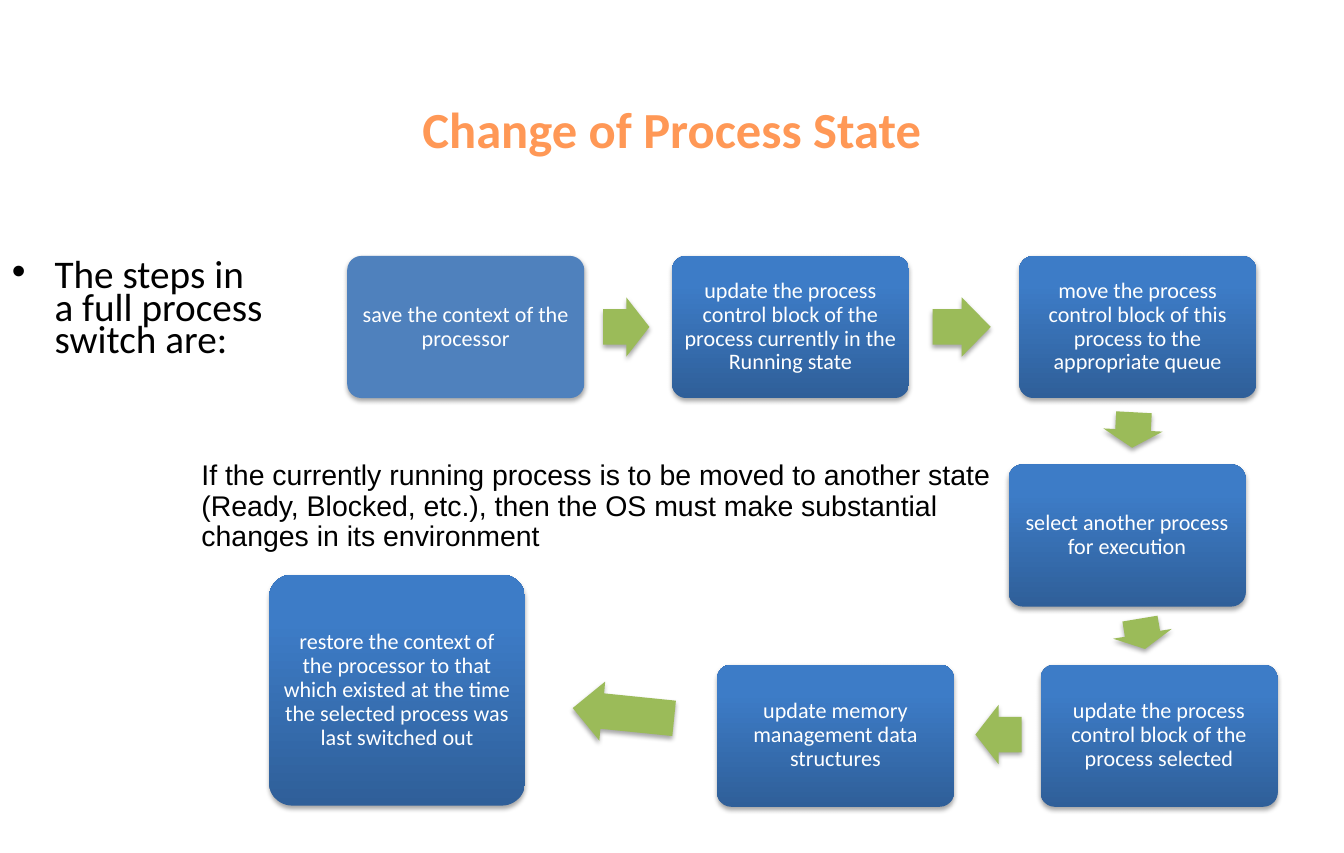
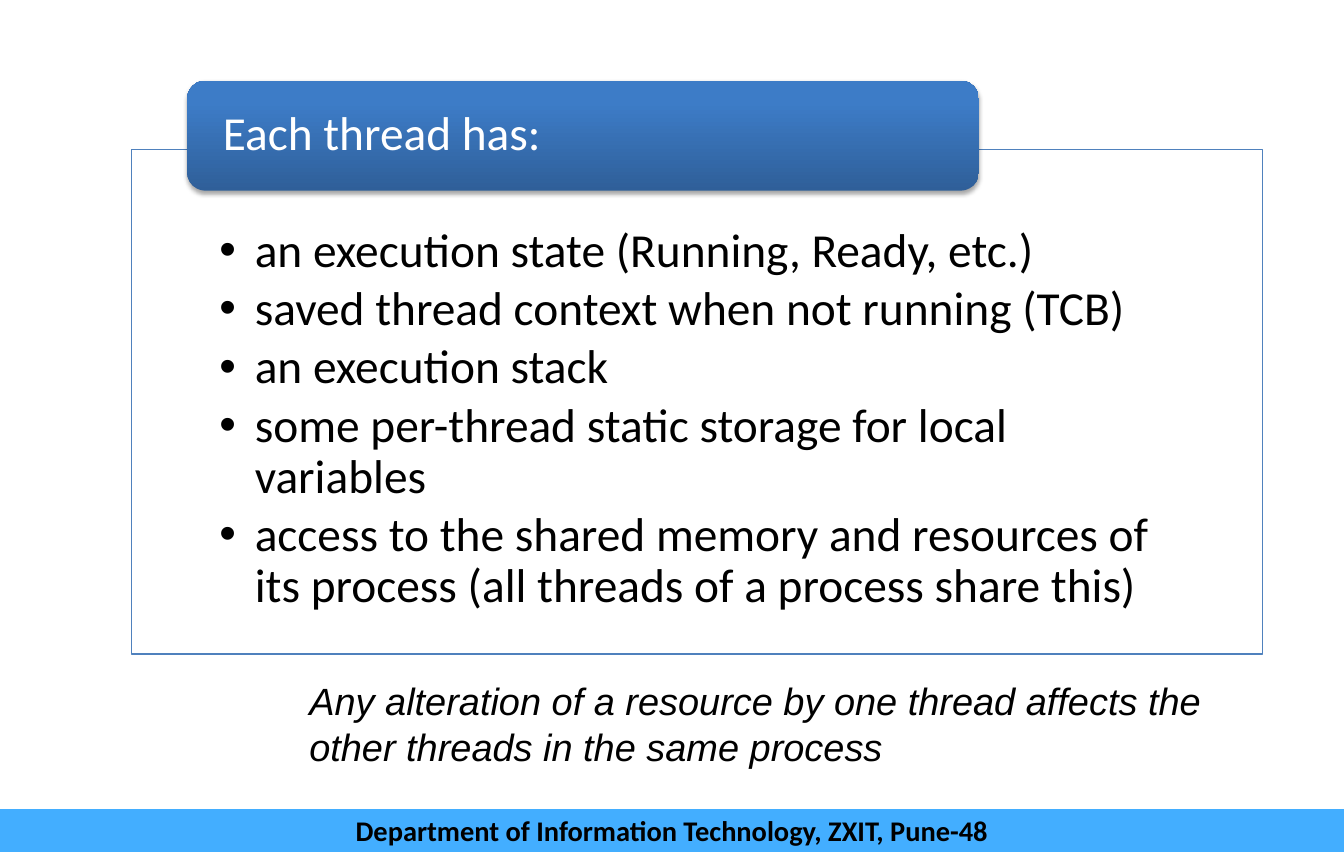
import collections

import lxml.etree
import pptx
import pptx.dml.color
import pptx.enum.shapes
import pptx.enum.text
import pptx.oxml.ns
import pptx.util

RGBColor = pptx.dml.color.RGBColor
SHAPES = pptx.enum.shapes.MSO_SHAPE
ALIGN = pptx.enum.text.PP_ALIGN
ANCHOR = pptx.enum.text.MSO_ANCHOR
qn = pptx.oxml.ns.qn

BLACK = RGBColor(0x00, 0x00, 0x00)
WHITE = RGBColor(0xFF, 0xFF, 0xFF)
ORANGE = RGBColor(0xFF, 0x98, 0x56)
BLUE = RGBColor(0x4F, 0x81, 0xBD)
DEEP_BLUE = RGBColor(0x2F, 0x5F, 0x99)
BRIGHT_BLUE = RGBColor(0x3D, 0x7C, 0xC7)
GREEN = RGBColor(0x9B, 0xBB, 0x59)
SKY = RGBColor(0x43, 0xAE, 0xFF)

EMU_PER_PX = 9525
SLIDE_WIDTH, SLIDE_HEIGHT = 1134, 720
STEP_WIDTH, STEP_HEIGHT = 200, 120
ROW_TOPS = (0, 176, 345)

STEPS = [
    ("save the context of the processor", 66, ROW_TOPS[0]),
    ("update the process control block of the process currently in the Running state", 340, ROW_TOPS[0]),
    ("move the process control block of this process to the appropriate queue", 633, ROW_TOPS[0]),
    ("select another process for execution", 624, ROW_TOPS[1]),
    ("update the process control block of the process selected", 651, ROW_TOPS[2]),
    ("update memory management data structures", 378, ROW_TOPS[2]),
]
LAST_STEP = (
    "restore the context of the processor to that which existed at the time "
    "the selected process was last switched out"
)
ARROWS = [
    (282, 35, 39, 0),
    (560, 35, 49, 0),
    (714, 122, 30, 93.1),
    (724, 294, 26, 80.5),
    (596, 379, 39, 180),
    (256, 361, 86, 185.8),
]
THREAD_PARTS = [
    "an execution state (Running, Ready, etc.)",
    "saved thread context when not running (TCB)",
    "an execution stack",
    "some per-thread static storage for local variables",
    "access to the shared memory and resources of its process (all threads of a process share this)",
]


class Box(collections.namedtuple("Box", "left top width height")):
    """A rectangle in px."""

    def inside(self, left, top, width, height):
        """Return a box placed relative to this one."""
        return Box(self.left + left, self.top + top, width, height)

    def emu(self):
        """Return the four lengths in EMU."""
        return [px(value) for value in self]


def px(value):
    """Turn px into EMU."""
    return pptx.util.Emu(value * EMU_PER_PX)


def move(shape, box):
    """Place a shape on a box."""
    shape.left, shape.top, shape.width, shape.height = box.emu()


def write(shape, lines, size, color, font="Calibri", bold=False, italic=False, align=ALIGN.LEFT,
          anchor=ANCHOR.TOP, insets=(10, 5, 10, 5), spacing=1.0, before=0, after=0, indent=None):
    """Fill a shape with equally styled paragraphs."""
    frame = shape.text_frame
    frame.text = "\n".join(lines)
    frame.word_wrap = True
    frame.auto_size = pptx.enum.text.MSO_AUTO_SIZE.NONE
    frame.vertical_anchor = anchor
    frame.margin_left, frame.margin_top, frame.margin_right, frame.margin_bottom = map(px, insets)
    for paragraph in frame.paragraphs:
        paragraph.alignment = align
        paragraph.line_spacing = spacing
        paragraph.space_before = pptx.util.Pt(before)
        paragraph.space_after = pptx.util.Pt(after)
        paragraph.font.name = font
        paragraph.font.size = pptx.util.Pt(size)
        paragraph.font.bold = bold
        paragraph.font.italic = italic
        paragraph.font.color.rgb = color
        if indent:
            properties = paragraph._p.get_or_add_pPr()
            properties.set("marL", str(px(indent[0])))
            properties.set("indent", str(px(indent[1])))


def add_plain(slide, kind, box, color):
    """Add a preset shape with a solid fill and neither line nor shadow."""
    shape = slide.shapes.add_shape(kind, *box.emu())
    shape.shadow.inherit = False
    shape.fill.solid()
    shape.fill.fore_color.rgb = color
    shape.line.fill.background()
    return shape


def add_raised(slide, kind, box, color, adjustments=()):
    """Add a preset shape with a soft shadow below it."""
    shape = add_plain(slide, kind, box, color)
    for index, value in enumerate(adjustments):
        shape.adjustments[index] = value
    effects = shape.element.spPr.find(qn("a:effectLst"))
    shadow = lxml.etree.SubElement(effects, qn("a:outerShdw"), blurRad="39370", dist="22860",
                                   dir="5400000", rotWithShape="0")
    shade = lxml.etree.SubElement(shadow, qn("a:srgbClr"), val=str(BLACK))
    lxml.etree.SubElement(shade, qn("a:alpha"), val="35000")
    return shape


def shade_blue(shape):
    """Give a shape the blue gradient, dark at the bottom."""
    shape.fill.gradient()
    shape.fill.gradient_angle = 90
    for stop, color, position in zip(shape.fill.gradient_stops, (DEEP_BLUE, BRIGHT_BLUE), (0, 0.8)):
        stop.color.rgb = color
        stop.position = position


def add_note(slide, box, text, size, **style):
    """Add a free line of Arial text."""
    write(slide.shapes.add_textbox(*box.emu()), [text], size, BLACK, font="Arial", **style)


def add_step(slide, box, text, shaded=True):
    """Add one rounded step of the process."""
    shape = add_raised(slide, SHAPES.ROUNDED_RECTANGLE, box, BLUE, [0.1])
    if shaded:
        shade_blue(shape)
    write(shape, [text], 14, WHITE, align=ALIGN.CENTER, anchor=ANCHOR.MIDDLE,
          insets=(6, 6, 6, 6), spacing=0.9)


def add_flow(slide, box):
    """Add the steps of a process switch and the arrows between them."""
    for number, (text, left, top) in enumerate(STEPS):
        add_step(slide, box.inside(left, top, STEP_WIDTH, STEP_HEIGHT), text, shaded=number > 0)
    add_step(slide, box.inside(0, 269, 216, 195), LAST_STEP)
    for left, top, width, rotation in ARROWS:
        arrow = add_raised(slide, SHAPES.RIGHT_ARROW, box.inside(left, top, width, 50), GREEN, [0.6, 0.5])
        arrow.rotation = rotation


def add_thread_panel(slide, box):
    """Add the framed list of thread parts with its banner heading."""
    body = slide.placeholders[1]
    move(body, box)
    body.fill.solid()
    body.fill.fore_color.rgb = WHITE
    body.line.color.rgb = BLUE
    body.line.width = pptx.util.Pt(0.75)
    write(body, THREAD_PARTS, 30, BLACK, insets=(74, 65, 74, 22), spacing=0.9, after=4.5, indent=(30, -30))
    banner = box.inside(47, -58, 668, 93)
    shade_blue(add_raised(slide, SHAPES.ROUNDED_RECTANGLE, banner, BLUE))
    title = slide.shapes.title
    move(title, banner.inside(5, 5, 658, 83))
    write(title, ["Each thread has:"], 30, WHITE, anchor=ANCHOR.MIDDLE, insets=(25, 0, 25, 0), spacing=0.9)
    slide.shapes.element.append(title.element)


def add_footer(slide, box):
    """Add the department band."""
    band = add_plain(slide, SHAPES.RECTANGLE, box, SKY)
    write(band, ["Department of Information Technology, ZXIT, Pune-48"], 18, BLACK, bold=True,
          align=ALIGN.CENTER, anchor=ANCHOR.MIDDLE)


def build_process_slide(slide, page):
    """Build the slide on the change of process state."""
    title, body = slide.shapes.title, slide.placeholders[1]
    move(title, page.inside(82, 48, 970, 120))
    write(title, ["Change of Process State"], 32, ORANGE, bold=True, align=ALIGN.CENTER, anchor=ANCHOR.MIDDLE)
    move(body, page.inside(0, 216, 236, 112))
    write(body, ["The steps in a full process switch are:"], 24.8, BLACK, spacing=0.7, before=12,
          indent=(36, -36))
    add_flow(slide, page.inside(227, 216, 851, 465))
    add_note(slide, page.inside(160, 384, 699, 88),
             "If the currently running process is to be moved to another state (Ready, Blocked, etc.), "
             "then the OS must make substantial changes in its environment", 18, spacing=0.9, before=12)


def build_thread_slide(slide, page):
    """Build the slide on what each thread has."""
    add_thread_panel(slide, page.inside(111, 126, 954, 426))
    add_footer(slide, page.inside(0, 683, page.width, 36))
    add_note(slide, page.inside(107, 567, 960, 87),
             "Any alteration of a resource by one thread affects the other threads in the same process",
             24, italic=True, indent=(144, 0))


def main():
    """Build and save the presentation."""
    presentation = pptx.Presentation()
    presentation.slide_width, presentation.slide_height = px(SLIDE_WIDTH), px(SLIDE_HEIGHT)
    page = Box(0, 0, SLIDE_WIDTH, SLIDE_HEIGHT)
    for build in (build_process_slide, build_thread_slide):
        build(presentation.slides.add_slide(presentation.slide_layouts[1]), page)
    presentation.save("out.pptx")


if __name__ == "__main__":
    main()
